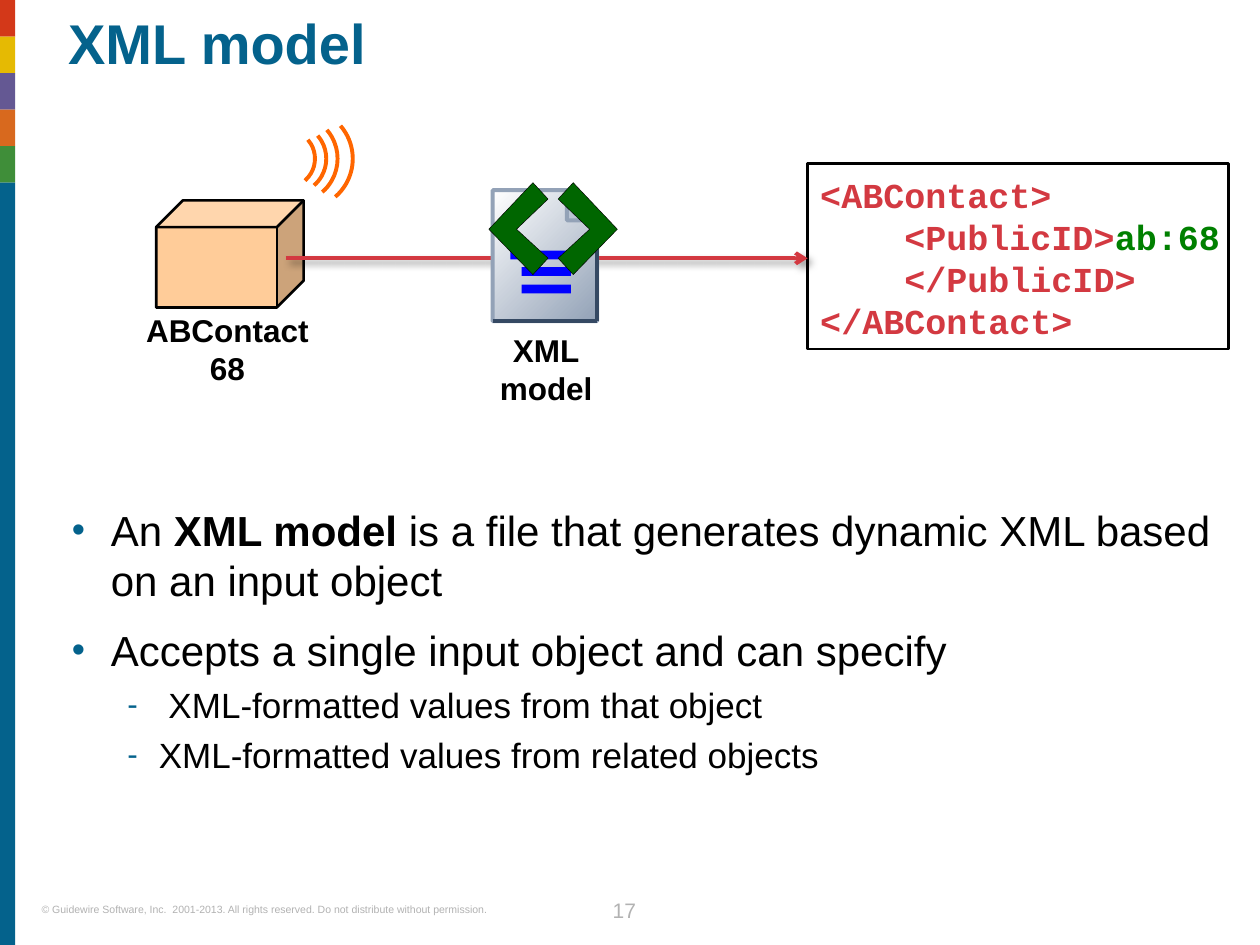
from lxml import etree
from pptx import Presentation
from pptx.dml.color import RGBColor
from pptx.enum.shapes import MSO_CONNECTOR, MSO_SHAPE
from pptx.enum.text import MSO_ANCHOR, MSO_AUTO_SIZE, PP_ALIGN
from pptx.oxml.ns import qn
from pptx.util import Inches, Pt

CUBE, RECTANGLE, ARC = MSO_SHAPE.CUBE, MSO_SHAPE.RECTANGLE, MSO_SHAPE.ARC
STRAIGHT = MSO_CONNECTOR.STRAIGHT
LEFT, CENTER = PP_ALIGN.LEFT, PP_ALIGN.CENTER
TOP, NO_AUTOFIT = MSO_ANCHOR.TOP, MSO_AUTO_SIZE.NONE

# The slide is a grid of 100 columns by 75 rows of square cells.
SLIDE_W, SLIDE_H = Inches(10), Inches(7.5)
CELL = SLIDE_W // 100

COLORS = {
    "title": "04628C", "text": "000000", "footer": "B2B2B2",
    "red": "D33819", "yellow": "E5BA03", "purple": "645893",
    "orange": "D8691E", "green": "3F8E39",
    "cube": "FFCC99", "wave": "FF6600", "tag": "D33941", "value": "008000",
    "paper_light": "FFFFFF", "paper_dark": "93A2B7", "paper_edge": "354963",
    "fold": "BAC5D4", "text_line": "0000FF", "bracket": "006600",
}


def rgb(name):
    return RGBColor.from_string(COLORS[name])


def cells(*counts):
    return [round(count * CELL) for count in counts]


def set_line(shape, color, width):
    shape.line.color.rgb = rgb(color)
    shape.line.width = Pt(width)


def style(shape, fill=None, line=None, width=1.5):
    shape.shadow.inherit = False
    if fill:
        shape.fill.solid()
        shape.fill.fore_color.rgb = rgb(fill)
    else:
        shape.fill.background()
    if line:
        set_line(shape, line, width)
    else:
        shape.line.fill.background()


def set_font(font, size, color, bold=False, name="Arial"):
    font.name, font.size, font.bold = name, Pt(size), bold
    font.color.rgb = rgb(color)


def add_preset(slide, kind, box, **look):
    shape = slide.shapes.add_shape(kind, *cells(*box))
    style(shape, **look)
    return shape


def add_outline(slide, points, **look):
    start, *rest = [cells(*point) for point in points]
    builder = slide.shapes.build_freeform(*start)
    builder.add_line_segments(rest, close=True)
    outline = builder.convert_to_shape()
    style(outline, **look)
    return outline


def add_line(slide, start, end, color):
    line = slide.shapes.add_connector(STRAIGHT, *cells(*start, *end))
    set_line(line, color, 2.25)
    effects = etree.SubElement(line._element.spPr, qn("a:effectLst"))
    return line, effects


def prepare_frame(frame):
    frame.margin_left = frame.margin_right = 0
    frame.margin_top = frame.margin_bottom = 0
    frame.word_wrap = True
    frame.auto_size = NO_AUTOFIT
    frame.vertical_anchor = TOP


def add_label(slide, box, lines, size, color, bold=False, align=LEFT):
    frame = slide.shapes.add_textbox(*cells(*box)).text_frame
    prepare_frame(frame)
    frame.text = "\n".join(lines)
    for paragraph in frame.paragraphs:
        paragraph.alignment = align
        set_font(paragraph.font, size, color, bold)


def place(placeholder, box):
    (placeholder.left, placeholder.top,
     placeholder.width, placeholder.height) = cells(*box)
    prepare_frame(placeholder.text_frame)
    return placeholder.text_frame


def set_bullet(paragraph, char, margin, hang):
    properties = paragraph._p.get_or_add_pPr()
    properties.set("marL", str(Inches(margin)))
    properties.set("indent", str(-Inches(hang)))
    color = etree.SubElement(properties, qn("a:buClr"))
    etree.SubElement(color, qn("a:srgbClr"), val=COLORS["title"])
    etree.SubElement(properties, qn("a:buSzPct"), val="90000")
    etree.SubElement(properties, qn("a:buFont"), typeface="Arial")
    etree.SubElement(properties, qn("a:buChar"), char=char)


def add_side_stripe(slide):
    step, width = 2.9, 1.2
    bands = ["red", "yellow", "purple", "orange", "green"]
    for i, band in enumerate(bands):
        add_preset(slide, RECTANGLE, (0, i * step, width, step), fill=band)
    top = len(bands) * step
    add_preset(slide, RECTANGLE, (0, top, width, 75 - top), fill="title")


def add_title(slide):
    frame = place(slide.shapes.title, (5.4, 1.3, 91, 8.1))
    frame.text = "XML model"
    heading = frame.paragraphs[0]
    heading.alignment = LEFT
    heading.line_spacing = 0.9
    set_font(heading.font, 32, "title", bold=True)


def add_bullets(slide):
    frame = place(slide.placeholders[1], (5.7, 40, 91, 30))
    main_level = ("•", 0.31, 0.31, 24, 11)
    sub_level = ("-", 0.69, 0.25, 20, 5)
    items = [
        (0, [("An ", False), ("XML model ", True),
             ("is a file that generates dynamic XML based on an input object",
              False)]),
        (0, [("Accepts a single input object and can specify", False)]),
        (1, [(" XML-formatted values from that object", False)]),
        (1, [("XML-formatted values from related objects", False)]),
    ]
    for i, (level, runs) in enumerate(items):
        char, margin, hang, size, gap = (main_level, sub_level)[level]
        item = frame.add_paragraph() if i else frame.paragraphs[0]
        item.level = level
        set_bullet(item, char, margin, hang)
        item.space_before = Pt(gap if i else 0)
        set_font(item.font, size, "text")
        for words, bold in runs:
            run = item.add_run()
            run.text = words
            if bold:
                run.font.bold = True


def add_contact(slide):
    add_preset(slide, CUBE, (12.4, 15.9, 11.7, 8.5), fill="cube", line="text")
    add_label(slide, (11.3, 24.7, 13.5, 6), ["ABContact", "68"], 18, "text",
              bold=True, align=CENTER)
    for center, radius in [(22.7, 2.3), (23.1, 2.8), (23.3, 3.5), (24, 4)]:
        wave = add_preset(slide, ARC, (center - radius, 12.6 - radius,
                                       2 * radius, 2 * radius),
                          line="wave", width=2.25)
        for i, degrees in enumerate((319.2, 49.2)):
            wave.adjustments[i] = degrees * 0.6  # 60000 units per degree


def add_code(slide):
    add_preset(slide, RECTANGLE, (64.1, 13, 33.4, 14.7), line="text")
    frame = slide.shapes.add_textbox(*cells(65.1, 13.8, 34.1, 13.3)).text_frame
    prepare_frame(frame)
    frame.text = ("<ABContact>\n    <PublicID>\n"
                  "    </PublicID>\n</ABContact>")
    for line in frame.paragraphs:
        set_font(line.font, 20, "tag", bold=True, name="Courier New")
    public_id = frame.paragraphs[1].add_run()
    public_id.text = "ab:68"
    public_id.font.color.rgb = rgb("value")


def add_flow_arrow(slide):
    arrow, effects = add_line(slide, (22.7, 20.5), (64.1, 20.5), "tag")
    etree.SubElement(arrow.line._get_or_add_ln(), qn("a:tailEnd"), type="arrow")
    shadow = etree.SubElement(effects, qn("a:outerShdw"), blurRad=str(Pt(4)),
                              dist=str(Pt(3)), dir=str(45 * 60000))
    tint = etree.SubElement(shadow, qn("a:srgbClr"), val=COLORS["text"])
    etree.SubElement(tint, qn("a:alpha"), val="40000")


def add_xml_file(slide):
    left, right, top, bottom, fold = 39.1, 47.4, 15.1, 25.5, 2.4
    fold_start, fold_end = (right - fold, top), (right, top + fold)
    paper = add_outline(slide, [(left, bottom), (left, top), fold_start,
                                fold_end, (right, bottom)],
                        line="paper_dark", width=2.25)
    paper.fill.gradient()
    paper.fill.gradient_angle = 315
    for stop, color, position in zip(paper.fill.gradient_stops,
                                     ("paper_light", "paper_dark"), (0, 1)):
        stop.color.rgb = rgb(color)
        stop.position = position
    add_line(slide, (left, bottom), (right, bottom), "paper_edge")
    add_line(slide, (right, bottom), fold_end, "paper_edge")
    add_outline(slide, [fold_start, (right - fold, top + fold), fold_end],
                fill="fold", line="paper_dark", width=2.25)
    for x, y, width in [(40.5, 19.9, 4.9), (41.4, 21.2, 3.9),
                        (41.4, 22.6, 3.9)]:
        add_preset(slide, RECTANGLE, (x, y, width, 0.7), fill="text_line")
    chevron = [(3.5, -3.7), (0, 0), (3.5, 3.6), (4.7, 2.3), (2.2, 0),
               (4.7, -2.4)]
    for tip, direction in [(49, -1), (38.8, 1)]:
        add_outline(slide, [(tip + direction * x, 18.2 + y)
                            for x, y in chevron],
                    fill="bracket", line="text", width=0.25)
    add_label(slide, (37.3, 26.3, 12.1, 6), ["XML", "model"], 18, "text",
              bold=True, align=CENTER)


def add_footer(slide):
    add_label(slide, (3.3, 71.7, 40.2, 1),
              ["© Guidewire Software, Inc.  2001-2013. All rights reserved. "
               "Do not distribute without permission."], 6, "footer")
    add_label(slide, (46.7, 71.2, 5.7, 2.5), ["17"], 12, "footer",
              align=CENTER)


def main():
    deck = Presentation()
    deck.slide_width, deck.slide_height = SLIDE_W, SLIDE_H
    slide = deck.slides.add_slide(deck.slide_layouts[1])
    for add_part in (add_side_stripe, add_footer, add_title, add_bullets,
                     add_contact, add_code, add_flow_arrow, add_xml_file):
        add_part(slide)
    deck.save("out.pptx")


if __name__ == "__main__":
    main()
